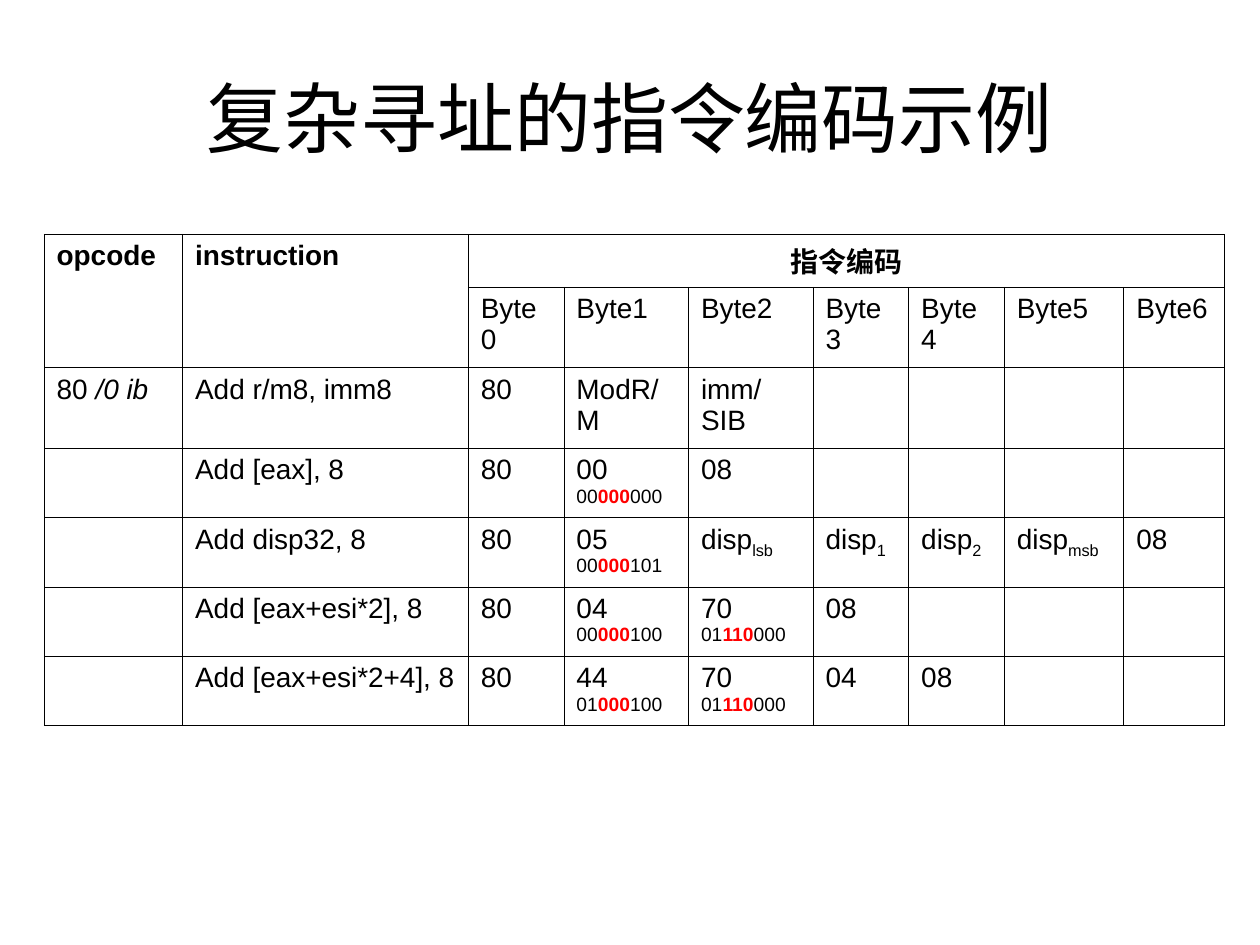
import lxml.etree
import pptx
import pptx.dml.color
import pptx.enum.text
import pptx.oxml.ns
import pptx.util
from dataclasses import dataclass

Inches = pptx.util.Inches
Align = pptx.enum.text.PP_ALIGN


@dataclass(frozen=True)
class Theme:
    font: str = "Arial"
    ink: str = "000000"
    mark: str = "FF0000"
    title: int = 44
    body: int = 16
    small: int = 11
    line: float = 0.45


THEME = Theme()
PLAIN = {"size": THEME.body, "color": THEME.ink, "bold": False, "italic": False}
BOLD = {**PLAIN, "bold": True}
ITALIC = {**PLAIN, "italic": True}
SMALL = {**PLAIN, "size": THEME.small}
MARK = {**SMALL, "color": THEME.mark, "bold": True}
SUB = {**PLAIN, "base": -25}
TITLE = {**PLAIN, "size": THEME.title}


def para(text, style=PLAIN):
    return [(text, style)]


def bits(code, mod, reg, rm):
    """Give a hex byte with its bit fields on a second line."""
    return [para(code), [(mod, SMALL), (reg, MARK), (rm, SMALL)]]


def disp(part):
    return [[("disp", PLAIN), (part, SUB)]]


COLS = [1.1, 2.27, 0.76, 0.99, 0.99, 0.76, 0.76, 0.95, 0.8]
ROWS = [0.42, 0.64, 0.64] + [0.55] * 4
HEADS = [[para("opcode", BOLD)], [para("instruction", BOLD)], [para("指令编码", BOLD)]]
BYTES = ["", ""] + [f"Byte{i}" for i in range(7)]
CODES = [
    [[[("80 ", PLAIN), ("/0 ib", ITALIC)]], "Add r/m8, imm8", "80", "ModR/M",
     [para("imm/"), para("SIB")]],
    ["", "Add [eax], 8", "80", bits("00", "00", "000", "000"), "08"],
    ["", "Add disp32, 8", "80", bits("05", "00", "000", "101"),
     disp("lsb"), disp("1"), disp("2"), disp("msb"), "08"],
    ["", "Add [eax+esi*2], 8", "80", bits("04", "00", "000", "100"),
     bits("70", "01", "110", "000"), "08"],
    ["", "Add [eax+esi*2+4], 8", "80", bits("44", "01", "000", "100"),
     bits("70", "01", "110", "000"), "04", "08"],
]


def write(frame, paras, align=Align.LEFT):
    for i, runs in enumerate(paras):
        p = frame.add_paragraph() if i else frame.paragraphs[0]
        p.alignment = align
        for text, style in runs:
            run = p.add_run()
            run.text = text
            font = run.font
            form = {"name": THEME.font, "size": pptx.util.Pt(style["size"]),
                    "bold": style["bold"], "italic": style["italic"]}
            for key, value in form.items():
                setattr(font, key, value)
            font.color.rgb = pptx.dml.color.RGBColor.from_string(style["color"])
            if "base" in style:
                run._r.get_or_add_rPr().set("baseline", str(style["base"] * 1000))


def border(cell):
    qn = pptx.oxml.ns.qn
    props = cell._tc.get_or_add_tcPr()
    for side in ("lnL", "lnR", "lnT", "lnB"):
        line = lxml.etree.SubElement(props, qn("a:" + side),
                                     w=str(pptx.util.Pt(THEME.line)))
        fill = lxml.etree.SubElement(line, qn("a:solidFill"))
        lxml.etree.SubElement(fill, qn("a:srgbClr"), val=THEME.ink)


def heading(slide, box):
    frame = slide.shapes.add_textbox(*map(Inches, box)).text_frame
    frame.word_wrap = True
    frame.vertical_anchor = pptx.enum.text.MSO_ANCHOR.MIDDLE
    write(frame, [para("复杂寻址的指令编码示例", TITLE)], Align.CENTER)


def codes(slide, box):
    """Place the table of instruction codes, its grid scaled to the box."""
    left, top, width, height = box
    table = slide.shapes.add_table(len(ROWS), len(COLS), *map(Inches, box)).table
    for flag in ("first_row", "horz_banding"):
        setattr(table, flag, False)
    for col, size in zip(table.columns, COLS):
        col.width = Inches(size * width / sum(COLS))
    for row, size in zip(table.rows, ROWS):
        row.height = Inches(size * height / sum(ROWS))
    for cell in table.iter_cells():
        border(cell)
        cell.fill.background()
    for col in (0, 1):
        table.cell(0, col).merge(table.cell(1, col))
    table.cell(0, 2).merge(table.cell(0, len(COLS) - 1))
    for r, row in enumerate([HEADS, BYTES] + CODES):
        for c, item in enumerate(row):
            if item:
                paras = [para(item)] if isinstance(item, str) else item
                align = Align.CENTER if (r, c) == (0, 2) else Align.LEFT
                write(table.cell(r, c).text_frame, paras, align)


def main():
    deck = pptx.Presentation()
    deck.slide_width, deck.slide_height = Inches(10), Inches(7.5)
    slide = deck.slides.add_slide(deck.slide_layouts[6])
    heading(slide, (0.5, 0.3, 9, 1.25))
    codes(slide, (0.35, 1.86, 9.37, 3.9))
    deck.save("out.pptx")


if __name__ == "__main__":
    main()
